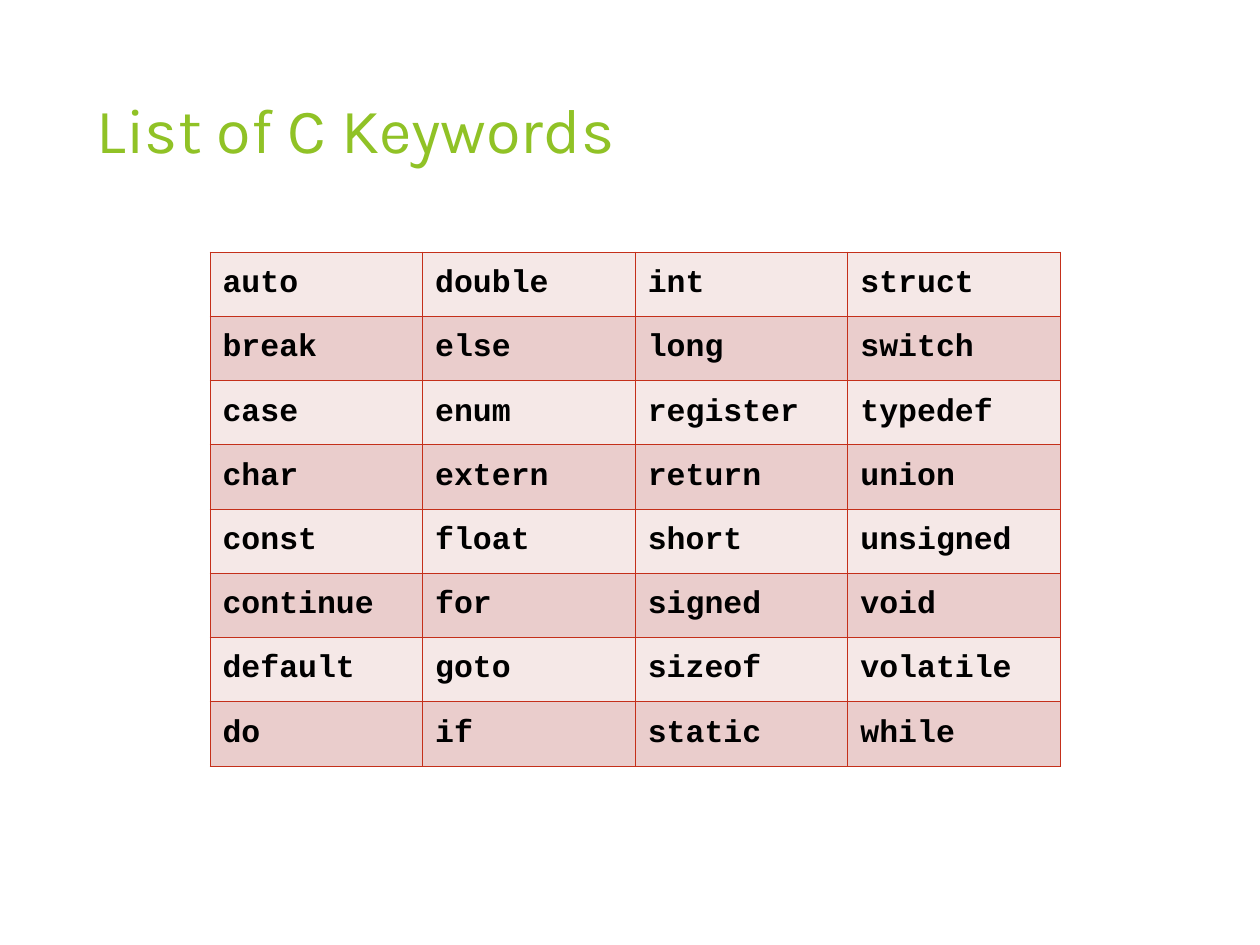
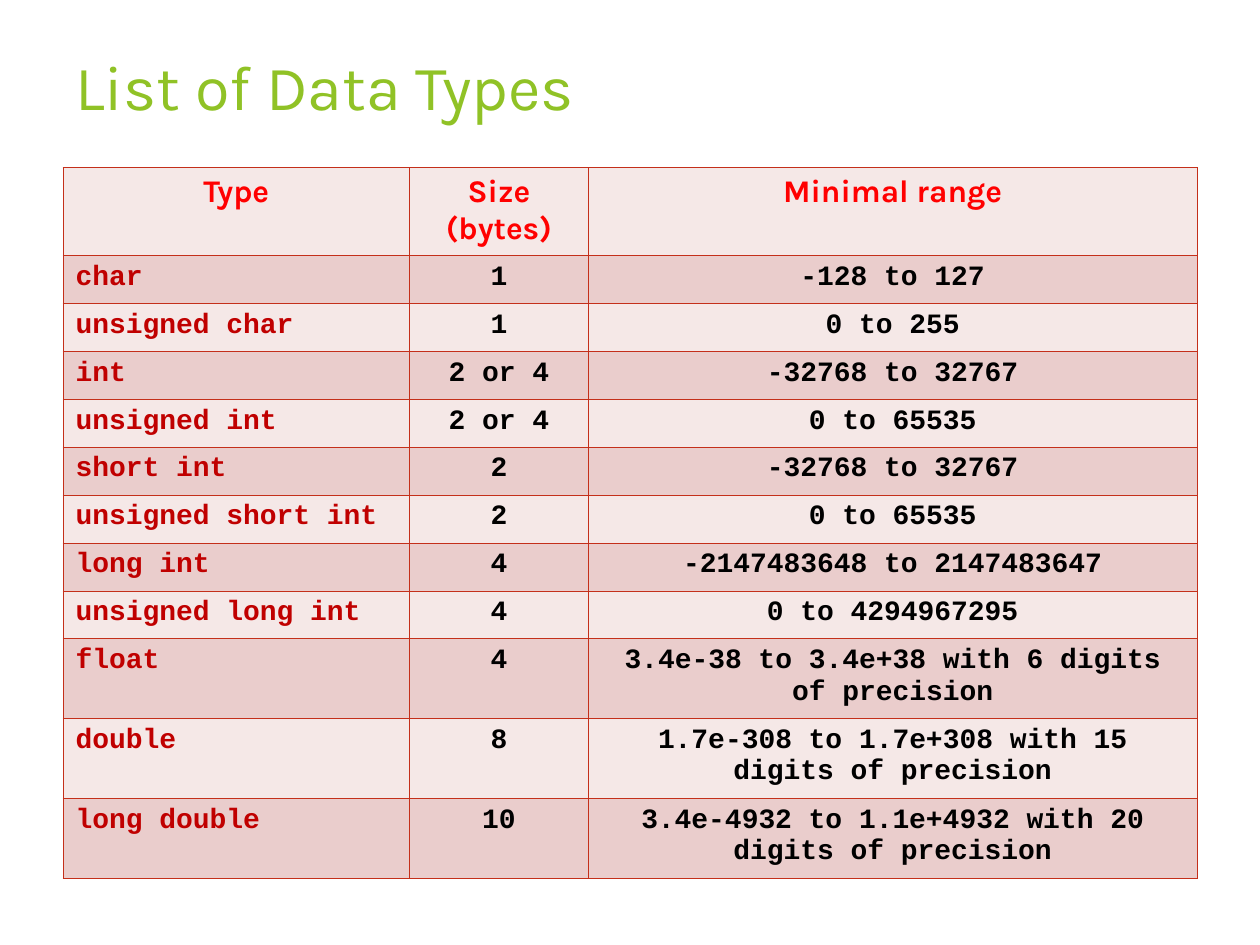
from lxml import etree
from pptx import Presentation, util as u
from pptx.dml.color import RGBColor
from pptx.enum import text
from pptx.oxml.ns import qn

# Shared look
W, H = 10, 7.5
GREEN, EDGE = "90C226", "C42F1A"
BANDS = ["F5E8E7", "EACDCC"]
HEAD, CODE = "Karla", "Courier New"
LEFT, MID = text.PP_ALIGN.LEFT, text.PP_ALIGN.CENTER
hue = RGBColor.from_string


def write(frame, words, size=18, face=CODE, tint="000000", bold=True, align=LEFT):
    frame.word_wrap = True
    para = frame.paragraphs[0]
    para.alignment = align
    run = para.add_run()
    run.text = words
    run.font.size, run.font.name, run.font.bold = u.Pt(size), face, bold
    run.font.color.rgb = hue(tint)


def grid(slide, left, top, cols, rows):
    """Add a table with banded fills and thin red borders."""
    box = [u.Inches(n) for n in (left, top, sum(cols), sum(rows))]
    table = slide.shapes.add_table(len(rows), len(cols), *box).table
    table.first_row = table.horz_banding = False
    for col, wide in zip(table.columns, cols):
        col.width = u.Inches(wide)
    for r, (row, high) in enumerate(zip(table.rows, rows)):
        row.height = u.Inches(high)
        for cell in row.cells:
            props = cell._tc.get_or_add_tcPr()
            for side in ("lnL", "lnR", "lnT", "lnB"):
                line = etree.SubElement(props, qn("a:" + side), w=str(u.Pt(0.45)))
                fill = etree.SubElement(line, qn("a:solidFill"))
                etree.SubElement(fill, qn("a:srgbClr"), val=EDGE)
            cell.fill.solid()
            cell.fill.fore_color.rgb = hue(BANDS[r % 2])
    return table


deck = Presentation()
deck.slide_width, deck.slide_height = u.Inches(W), u.Inches(H)

# Slides with their titles
slides = []
for title, box in [
    ("List of C Keywords", (0.67, 0.67, 6.94, 1.44)),
    ("List of Data Types", (W / 20, 0.33, W * 0.9, 1.17)),
]:
    slide = deck.slides.add_slide(deck.slide_layouts[6])
    frame = slide.shapes.add_textbox(*[u.Inches(n) for n in box]).text_frame
    write(frame, title, size=36, face=HEAD, tint=GREEN, bold=False)
    slides.append(slide)

# Keywords, running down each column
words = """
auto break case char const continue default do
double else enum extern float for goto if
int long register return short signed sizeof static
struct switch typedef union unsigned void volatile while
""".split()
deep = 8
wide = len(words) // deep
table = grid(slides[0], W / 6, 2, [6.75 / wide] * wide, [0.51] * deep)
for i, word in enumerate(words):
    cell = table.cell(i % deep, i // deep)
    cell.vertical_anchor = text.MSO_ANCHOR.MIDDLE
    write(cell.text_frame, word)

# Data types with size and range
types = [
    ("Type", "Size (bytes)", "Minimal range"),
    ("char", "1", "-128 to 127"),
    ("unsigned char", "1", "0 to 255"),
    ("int", "2 or 4", "-32768 to 32767"),
    ("unsigned int", "2 or 4", "0 to 65535"),
    ("short int", "2", "-32768 to 32767"),
    ("unsigned short int", "2", "0 to 65535"),
    ("long int", "4", "-2147483648 to 2147483647"),
    ("unsigned long int", "4", "0 to 4294967295"),
    ("float", "4", "3.4e-38 to 3.4e+38 with 6 digits of precision"),
    ("double", "8", "1.7e-308 to 1.7e+308 with 15 digits of precision"),
    ("long double", "10", "3.4e-4932 to 1.1e+4932 with 20 digits of precision"),
]
rows = [0.7] + [0.38] * 8 + [0.63] * 3
table = grid(slides[1], W / 20, 1.33, [2.75, 1.42, 4.83], rows)
for r, row in enumerate(types):
    for c, word in enumerate(row):
        if r == 0:
            style = dict(face=HEAD, tint="FF0000", align=MID)
        elif c == 0:
            style = dict(size=16, tint="C00000")
        else:
            style = dict(size=16, align=MID)
        write(table.cell(r, c).text_frame, word, **style)

deck.save("out.pptx")
